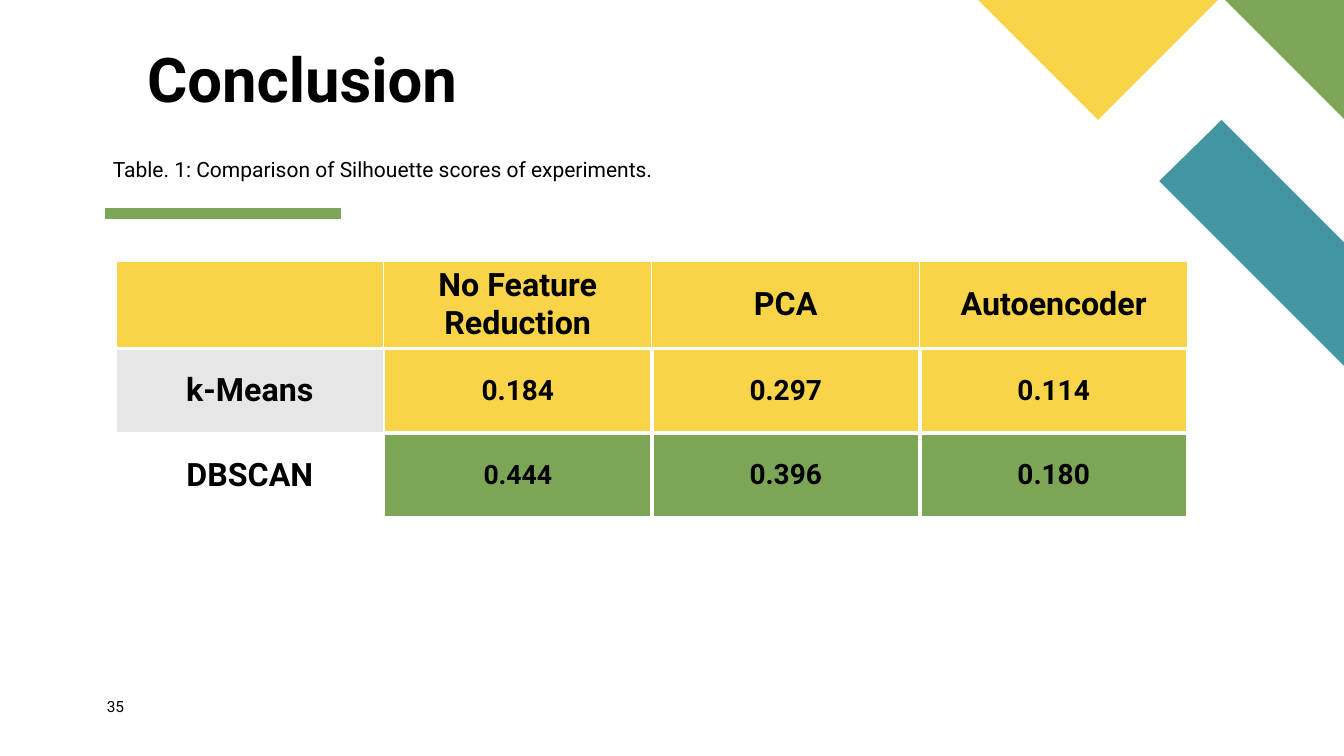
from lxml.etree import SubElement
from pptx import Presentation
from pptx.dml.color import RGBColor
from pptx.enum.shapes import MSO_CONNECTOR
from pptx.enum.text import MSO_ANCHOR, PP_ALIGN
from pptx.oxml import parse_xml
from pptx.oxml.ns import nsdecls, qn
from pptx.util import Inches, Pt

FONT = "Roboto"
BLACK = RGBColor(0x00, 0x00, 0x00)
WHITE = RGBColor(0xFF, 0xFF, 0xFF)
GREY = RGBColor(0xE6, 0xE6, 0xE6)
YELLOW = RGBColor(0xF9, 0xD4, 0x48)
GREEN = RGBColor(0x7C, 0xA6, 0x55)
TEAL = RGBColor(0x44, 0x95, 0xA2)

SCORES = [
    ["", "No Feature Reduction", "PCA", "Autoencoder"],
    ["k-Means", "0.184", "0.297", "0.114"],
    ["DBSCAN", "0.444", "0.396", "0.180"],
]
LABEL_FILLS = [YELLOW, GREY, WHITE]
SCORE_FILLS = [YELLOW, YELLOW, GREEN]

CORNER_PIECES = [
    (TEAL, [(1.51, 1.51), (2.03, 1), (3.06, 2.03), (3.06, 3.06)]),
    (GREEN, [(2.06, 0), (3.06, 0), (3.06, 1)]),
    (YELLOW, [(0, 0), (1, 1), (2, 0)]),
]


def style_paragraph(paragraph, size, bold=False):
    paragraph.font.name = FONT
    paragraph.font.size = Pt(size)
    paragraph.font.bold = bold
    paragraph.font.color.rgb = BLACK


def add_text(slide, box, text, size, bold=False, inset=0, anchor=MSO_ANCHOR.TOP):
    frame = slide.shapes.add_textbox(*map(Inches, box)).text_frame
    frame.word_wrap = True
    frame.vertical_anchor = anchor
    frame.margin_left = frame.margin_right = Inches(inset)
    frame.margin_top = frame.margin_bottom = Inches(inset)
    paragraph = frame.paragraphs[0]
    paragraph.text = text
    style_paragraph(paragraph, size, bold)
    return paragraph


def add_corner(slide, left, top, unit):
    for color, points in CORNER_PIECES:
        corners = [(Inches(left + x * unit), Inches(top + y * unit)) for x, y in points]
        builder = slide.shapes.build_freeform(*corners[0])
        builder.add_line_segments(corners[1:])
        piece = builder.convert_to_shape()
        piece.shadow.inherit = False
        piece.fill.solid()
        piece.fill.fore_color.rgb = color
        piece.line.fill.background()


def add_rule(slide, left, top, width):
    rule = slide.shapes.add_connector(
        MSO_CONNECTOR.STRAIGHT, *map(Inches, (left, top, left + width, top)))
    rule.line.color.rgb = GREEN
    rule.line.width = Pt(8)
    SubElement(rule._element.spPr, qn("a:effectLst"))


def add_heading(slide, box):
    title = add_text(slide, box, "Conclusion", 44, bold=True, anchor=MSO_ANCHOR.BOTTOM)
    title.line_spacing = 0.9
    title._p.get_or_add_pPr().set("indent", str(Inches(0.5)))


def vertical_edge(row, edge):
    if row == 0:
        return 1
    return 2.25 if edge <= 1 else 3


def horizontal_edge(edge, column):
    if edge == 0:
        return 1
    return 2.25 if edge == 1 or column == 0 else 3


def set_borders(cell, row, column):
    widths = {
        "lnL": vertical_edge(row, column),
        "lnR": vertical_edge(row, column + 1),
        "lnT": horizontal_edge(row, column),
        "lnB": horizontal_edge(row + 1, column),
    }
    properties = cell._tc.get_or_add_tcPr()
    for position, (side, width) in enumerate(widths.items()):
        properties.insert(position, parse_xml(
            f'<a:{side} {nsdecls("a")} w="{Pt(width)}"><a:solidFill>'
            f'<a:srgbClr val="{WHITE}"/></a:solidFill></a:{side}>'))


def score_size(row, column):
    if row == 0 or column == 0:
        return 23
    return 19 if (row, column) == (2, 1) else 20


def add_scores(slide, box):
    scores = slide.shapes.add_table(len(SCORES), len(SCORES[0]), *map(Inches, box)).table
    for row, texts in enumerate(SCORES):
        for column, text in enumerate(texts):
            cell = scores.cell(row, column)
            cell.fill.solid()
            fills = SCORE_FILLS if column else LABEL_FILLS
            cell.fill.fore_color.rgb = fills[row]
            cell.vertical_anchor = MSO_ANCHOR.MIDDLE
            paragraph = cell.text_frame.paragraphs[0]
            paragraph.text = text
            paragraph.alignment = PP_ALIGN.CENTER
            style_paragraph(paragraph, score_size(row, column), bold=True)
            set_borders(cell, row, column)


def main():
    deck = Presentation()
    deck.slide_width, deck.slide_height = Inches(13.33), Inches(7.5)
    slide = deck.slides.add_slide(deck.slide_layouts[6])
    add_rule(slide, 1.04, 2.12, 2.34)
    add_corner(slide, 9.7, 0, 1.19)
    add_heading(slide, (0.96, 0.48, 5.4, 0.67))
    add_scores(slide, (1.15, 2.59, 10.63, 2.52))
    add_text(slide, (1.02, 1.45, 7.59, 0.45),
             "Table. 1: Comparison of Silhouette scores of experiments.", 15, inset=0.1)
    add_text(slide, (1.06, 6.92, 0.57, 0.27), "35", 11)
    deck.save("out.pptx")


if __name__ == "__main__":
    main()
